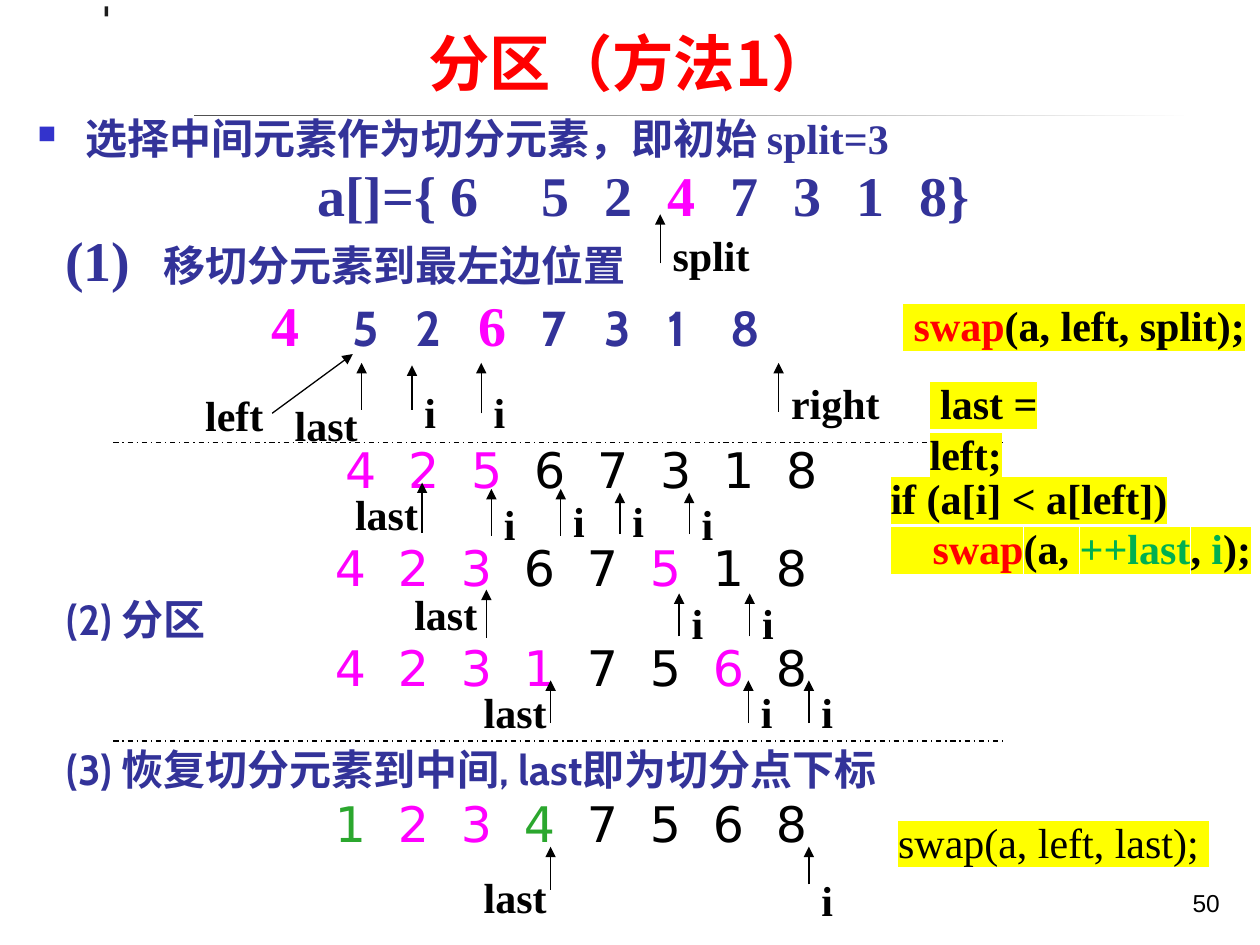
"""Build the slide that traces quicksort partitioning, method 1."""
from lxml import etree
from pptx import Presentation
from pptx.dml.color import RGBColor
from pptx.enum import dml, shapes, text
from pptx.oxml import ns
from pptx.util import Inches, Pt

COLORS = {
    "black": "000000", "white": "FFFFFF", "ink": "1C1C1C", "red": "FF0000",
    "navy": "333399", "bullet": "3333CC", "magenta": "FF00FF",
    "leaf": "2BA72E", "green": "00B050", "yellow": "FFFF00",
}
SERIF, SANS, CJK = "Times New Roman", "Cabin", "Noto Sans CJK SC"

presentation = Presentation()
presentation.slide_width, presentation.slide_height = Inches(10), Inches(7.5)
slide = presentation.slides.add_slide(presentation.slide_layouts[6])


def add_text(box, paragraphs, size=24, font=SERIF, color="black", bold=True,
             highlight=None, wrap=True, align=None, anchor=text.MSO_ANCHOR.TOP,
             fill=None, line_spacing=None, space_before=0, layouts=None):
    """Add a text box; each paragraph is a list of (text, format overrides)."""
    shape = slide.shapes.add_textbox(*map(Inches, box))
    if fill:
        shape.fill.solid()
        shape.fill.fore_color.rgb = RGBColor.from_string(COLORS[fill])
    frame = shape.text_frame
    frame.word_wrap, frame.vertical_anchor = wrap, anchor
    for index, runs in enumerate(paragraphs):
        paragraph = frame.add_paragraph() if index else frame.paragraphs[0]
        paragraph.alignment, paragraph.line_spacing = align, line_spacing
        if index and space_before:
            paragraph.space_before = Pt(space_before)
        layout = layouts[index] if layouts else {}
        properties = paragraph._p.get_or_add_pPr()
        properties.set("marL", str(Inches(layout.get("margin", 0))))
        properties.set("indent", str(Inches(layout.get("indent", 0))))
        if "bullet" in layout:
            bullet_color = etree.SubElement(properties, ns.qn("a:buClr"))
            etree.SubElement(bullet_color, ns.qn("a:srgbClr"), val=COLORS["bullet"])
            etree.SubElement(properties, ns.qn("a:buSzPct"), val="60000")
            etree.SubElement(properties, ns.qn("a:buChar"), char=layout["bullet"])
        if "tabs" in layout:
            tab_list = etree.SubElement(properties, ns.qn("a:tabLst"))
            for position in layout["tabs"]:
                etree.SubElement(tab_list, ns.qn("a:tab"), pos=str(Inches(position)), algn="l")
        for words, overrides in runs:
            style = {"size": size, "font": font, "color": color, **overrides}
            run = paragraph.add_run()
            run.text = words
            run.font.size, run.font.bold, run.font.name = Pt(style["size"]), bold, style["font"]
            run.font.color.rgb = RGBColor.from_string(COLORS[style["color"]])
            run_properties = run._r.get_or_add_rPr()
            latin = run_properties.find(ns.qn("a:latin"))
            latin.addnext(etree.Element(ns.qn("a:ea"), typeface=CJK))
            if highlight:
                marker = etree.Element(ns.qn("a:highlight"))
                etree.SubElement(marker, ns.qn("a:srgbClr"), val=COLORS[highlight])
                latin.addprevious(marker)


def add_line(start, end, arrow=False):
    """Add a thin black line: an arrow, or else a dash-dot rule."""
    connector = slide.shapes.add_connector(
        shapes.MSO_CONNECTOR.STRAIGHT, *map(Inches, (*start, *end)))
    connector.line.width = Pt(0.75)
    connector.line.color.rgb = RGBColor.from_string(COLORS["black"])
    if arrow:
        etree.SubElement(connector.line._get_or_add_ln(), ns.qn("a:tailEnd"), type="triangle")
    else:
        connector.line.dash_style = dml.MSO_LINE.DASH_DOT
    etree.SubElement(connector._element.spPr, ns.qn("a:effectLst"))


decorations = [
    ((0.83, 0.05, 0.03, 1.15), ["ink"]),
    ((0.48, 0.91, 9, 0.03), ["ink", "white"]),
    ((0.04, 0.13, 1.5, 1.5), ["white"]),
]
for box, fills in decorations:
    shape = slide.shapes.add_shape(shapes.MSO_SHAPE.RECTANGLE, *map(Inches, box))
    shape.shadow.inherit = False
    shape.line.fill.background()
    if len(fills) == 1:
        shape.fill.solid()
        shape.fill.fore_color.rgb = RGBColor.from_string(COLORS[fills[0]])
    else:
        shape.fill.gradient()
        shape.fill.gradient_angle = 0
        for stop, name in zip(shape.fill.gradient_stops, fills):
            stop.color.rgb = RGBColor.from_string(COLORS[name])

pivot = {"color": "magenta"}
small = {"size": 28, "font": SANS}
add_text(
    (0.2, 0.92, 9.53, 5.51),
    [
        [("选择中间元素作为切分元素，即初始 split=3", {"size": 24})],
        [("a[]={ 6\t5\t2\t", {}), ("4", pivot), ("\t7\t3\t1\t8}", {})],
        [("(1)\t", {}), ("移切分元素到最左边位置", {"size": 24})],
        [("4", pivot), ("\t5\t2\t", small), ("6", pivot), ("\t7\t3\t1\t8", small)],
    ],
    size=32, color="navy", fill="white", line_spacing=0.8, space_before=6.4,
    layouts=[
        {"margin": 0.38, "indent": -0.38, "bullet": "■"},
        {"indent": 2.22, "tabs": [3.83, 4.38, 4.83, 5.28, 5.73, 6.17, 6.61]},
        {"indent": 0.22, "tabs": [1.07]},
        {"indent": 1.86, "tabs": [2.26, 2.64, 3.01, 3.41, 3.79, 4.17, 4.5]},
    ])
add_text((0.63, 0.13, 8.75, 0.7), [[("分区（方法1）", {})]], size=35, font=CJK, color="red",
         align=text.PP_ALIGN.CENTER, anchor=text.MSO_ANCHOR.BOTTOM)
add_text((0.43, 4.66, 4.02, 0.59), [[("(2) 分区", {})]], font=SANS, color="navy")
add_text((0.43, 5.85, 6.98, 0.5), [[("(3) 恢复切分元素到中间, last即为切分点下标", {})]],
         font=SANS, color="navy", wrap=False)

digit_span = 3.47
digit_tabs = [digit_span / 7 * step for step in range(1, 8)]
digit_colors = {"M": "magenta", "K": "black", "G": "leaf"}
array_rows = [
    (2.64, 3.44, "42567318", "MMMKKKKK"),
    (2.56, 4.22, "42367518", "MMMKKMKK"),
    (2.56, 5.01, "42317568", "MMMMKKMK"),
    (2.56, 6.25, "12347568", "GMMGKKKK"),
]
for left, top, digits, codes in array_rows:
    runs = [(digit if index == 0 else "\t" + digit, {"color": digit_colors[code]})
            for index, (digit, code) in enumerate(zip(digits, codes))]
    add_text((left, top, 4.8, 0.57), [runs], size=28, font="DejaVu Sans", bold=False,
             layouts=[{"tabs": digit_tabs}])

for y in (3.51, 5.88):
    add_line((0.9, y), (7.99, y))

pointers = [
    ("split", 5.24, 1.77, (5.24, 2.09), (5.24, 1.7)),
    ("left", 1.53, 3.04, (2.16, 3.28), (2.8, 2.81)),
    ("last", 2.24, 3.12, (2.87, 3.25), (2.87, 2.88)),
    ("i", 3.27, 3.02, (3.27, 3.25), (3.27, 2.9)),
    ("i", 3.82, 3.02, (3.82, 3.28), (3.82, 2.88)),
    ("right", 6.18, 2.95, (6.18, 3.27), (6.18, 2.88)),
    ("last", 2.72, 3.83, (3.35, 4.23), (3.35, 3.83)),
    ("i", 3.9, 3.91, (3.9, 4.25), (3.9, 3.88)),
    ("i", 4.45, 3.88, (4.45, 4.25), (4.45, 3.88)),
    ("i", 4.92, 3.88, (4.92, 4.24), (4.92, 3.91)),
    ("i", 5.47, 3.91, (5.47, 4.24), (5.47, 3.91)),
    ("last", 3.19, 4.62, (3.86, 5.06), (3.86, 4.68)),
    ("i", 5.39, 4.69, (5.39, 5.05), (5.39, 4.71)),
    ("i", 5.95, 4.69, (5.95, 5.05), (5.95, 4.71)),
    ("last", 3.74, 5.4, (4.37, 5.74), (4.37, 5.4)),
    ("i", 5.94, 5.4, (5.94, 5.74), (5.94, 5.4)),
    ("i", 6.42, 5.4, (6.42, 5.74), (6.42, 5.4)),
    ("last", 3.74, 6.87, (4.37, 7.06), (4.37, 6.72)),
    ("i", 6.42, 6.89, (6.42, 7.02), (6.42, 6.72)),
]
for label, left, top, start, tip in pointers:
    add_line(start, tip, arrow=True)
    add_text((left, top, 0.94 if label == "i" else 1.5, 0.5), [[(label, {})]])

red, green = {"color": "red"}, {"color": "green"}
code_notes = [
    ((7.07, 2.33, 2.93, 0.5), [[(" ", {}), ("swap", red), ("(a, left, split);", {})]], True),
    ((7.28, 2.95, 1.71, 0.5), [[(" last = left;", {})]], True),
    ((6.97, 3.7, 3.06, 0.91), [
        [("if (a[i] < a[left])", {})],
        [("    swap", red), ("(a, ", {}), ("++last", green), (", ", {}), ("i", green), (");", {})],
    ], True),
    ((7.03, 6.43, 2.76, 0.5), [[("swap(a, left, last); ", {})]], False),
]
for box, lines, bold in code_notes:
    add_text(box, lines, bold=bold, highlight="yellow", wrap=not bold)

add_text((7.7, 6.83, 2.08, 0.5), [[("50", {})]], size=14, font="Arial", bold=False,
         align=text.PP_ALIGN.RIGHT, anchor=text.MSO_ANCHOR.BOTTOM)

presentation.save("out.pptx")
